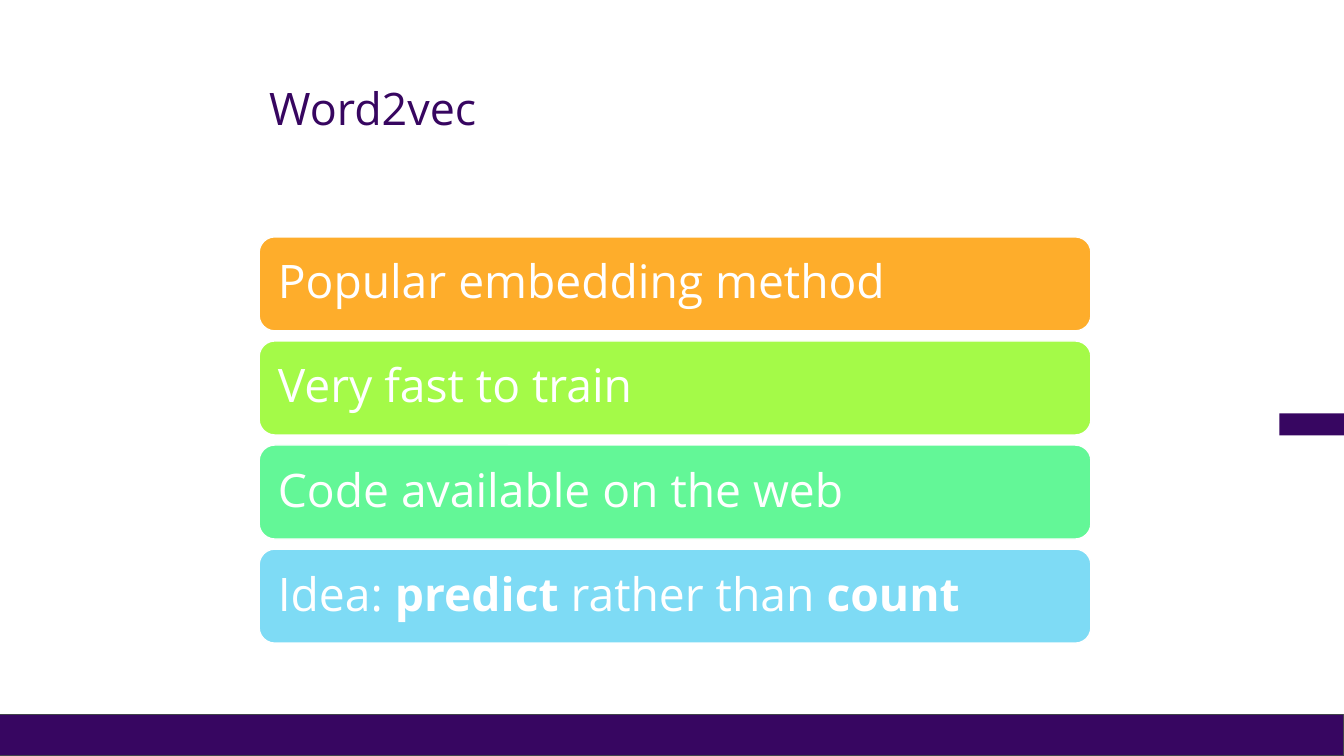
from pptx import Presentation
from pptx.dml.color import RGBColor
from pptx.enum.shapes import MSO_SHAPE as SHAPE
from pptx.enum.text import MSO_ANCHOR as ANCHOR, PP_ALIGN as ALIGN
from pptx.util import Inches, Pt

COLORS = {
    "purple": "370661", "title": "370660", "edge": "43454B", "white": "FFFFFF",
    "orange": "FEAD2B", "lime": "A4FA48", "green": "63F797", "sky": "7EDBF5",
}
FONT = "Open Sans"
CARDS = [
    ("orange", [("Popular embedding method", False)]),
    ("lime", [("Very fast to train", False)]),
    ("green", [("Code available on the web", False)]),
    ("sky", [("Idea: ", False), ("predict", True), (" rather than ", False), ("count", True)]),
]


def rgb(name):
    """Return the named colour."""
    return RGBColor.from_string(COLORS[name])


def add_block(s, kind, box, fill, line=None, width=1):
    """Add a filled shape, outlined only when a line colour is given."""
    sp = s.shapes.add_shape(kind, *map(Inches, box))
    sp.shadow.inherit = False
    sp.fill.solid()
    sp.fill.fore_color.rgb = rgb(fill)
    if line:
        sp.line.color.rgb = rgb(line)
        sp.line.width = Pt(width)
    else:
        sp.line.fill.background()
    return sp


def write(tf, runs, size, color, inset):
    """Fill a text frame with one left-aligned paragraph of (text, bold) runs."""
    frame = {"word_wrap": True, "vertical_anchor": ANCHOR.MIDDLE}
    for side, gap in zip(("left", "top", "right", "bottom"), inset):
        frame[f"margin_{side}"] = Inches(gap)
    for name, value in frame.items():
        setattr(tf, name, value)
    p = tf.paragraphs[0]
    p.alignment = ALIGN.LEFT
    p.line_spacing = 0.9
    for text, bold in runs:
        r = p.add_run()
        r.text = text
        for name, value in {"name": FONT, "size": Pt(size), "bold": bold}.items():
            setattr(r.font, name, value)
        r.font.color.rgb = rgb(color)


def add_decor(s, width, height):
    """Draw the bottom band and the tab on the right edge."""
    band, tab = 0.41, 0.64
    add_block(s, SHAPE.RECTANGLE, (0, height - band, width, band), "purple", "edge", 0.75)
    add_block(s, SHAPE.RECTANGLE, (width - tab, 4.1, tab, 0.22), "purple")


def add_title(s, text, box):
    """Place and format the title placeholder."""
    sp = s.shapes.title
    for name, value in zip(("left", "top", "width", "height"), box):
        setattr(sp, name, Inches(value))
    write(sp.text_frame, [(text, False)], 32, "title", (0.1, 0.05, 0.1, 0.05))


def add_cards(s, cards, box, gap=0.1):
    """Stack equal rounded cards down the box."""
    left, top, width, height = box
    card_h = (height - gap * (len(cards) - 1)) / len(cards)
    for i, (fill, runs) in enumerate(cards):
        card_box = (left, top + i * (card_h + gap), width, card_h)
        sp = add_block(s, SHAPE.ROUNDED_RECTANGLE, card_box, fill, "white")
        write(sp.text_frame, runs, 33, "white", (0.14,) * 4)


def main():
    """Build the slide and save it."""
    prs = Presentation()
    width, height = 13.33, 7.5
    prs.slide_width, prs.slide_height = Inches(width), Inches(height)
    s = prs.slides.add_slide(prs.slide_layouts[5])
    add_decor(s, width, height)
    add_title(s, "Word2vec", (2.57, 0.31, 8.25, 1.59))
    add_cards(s, CARDS, (2.57, 2.35, 8.25, 4.03))
    prs.save("out.pptx")


if __name__ == "__main__":
    main()
